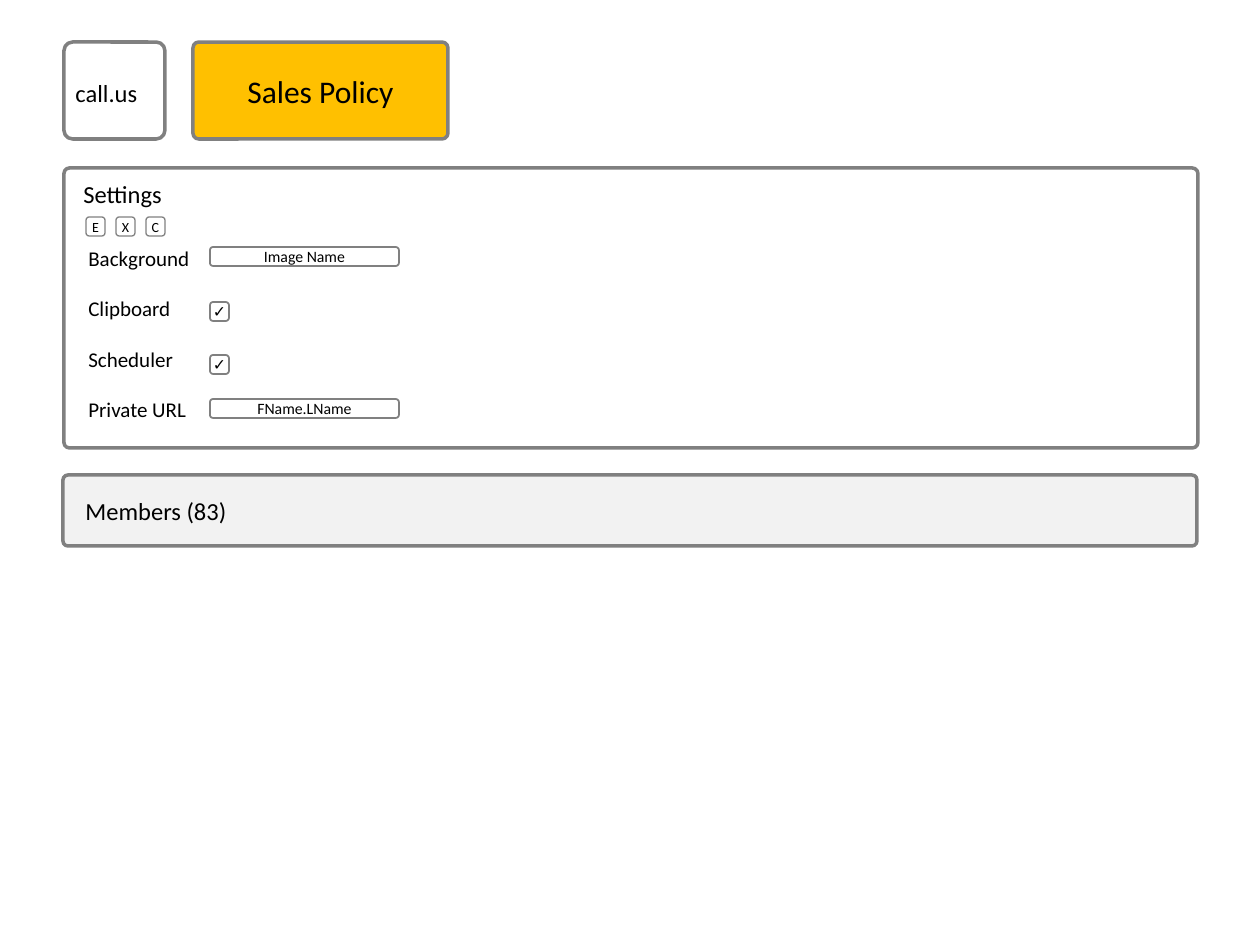
import pptx
import pptx.dml.color
import pptx.enum.shapes
import pptx.enum.text
import pptx.util

PX = 914400 / 126
COLORS = {"ink": "000000", "border": "808080", "policy": "FFC000", "members": "F2F2F2"}
FONT = "Calibri"
ALIGN = pptx.enum.text.PP_ALIGN
ANCHOR = pptx.enum.text.MSO_ANCHOR


def px(length):
    return pptx.util.Emu(round(length * PX))


def rgb(name):
    return pptx.dml.color.RGBColor.from_string(COLORS[name])


def write(frame, text, size=14, align=ALIGN.LEFT, gap=0):
    for index, line in enumerate(text.split("\n")):
        paragraph = frame.paragraphs[0] if index == 0 else frame.add_paragraph()
        paragraph.alignment = align
        if index and gap:
            paragraph.space_before = pptx.util.Pt(gap)
        run = paragraph.add_run()
        run.text = line
        run.font.name = FONT
        run.font.size = pptx.util.Pt(size)
        run.font.color.rgb = rgb("ink")


def add_label(shapes, box, text, **style):
    label = shapes.add_textbox(*map(px, box))
    label.text_frame.word_wrap = False
    label.text_frame.auto_size = pptx.enum.text.MSO_AUTO_SIZE.SHAPE_TO_FIT_TEXT
    write(label.text_frame, text, **style)


def add_box(shapes, box, text="", size=14, fill=None, line=2, corner=None):
    panel = shapes.add_shape(
        pptx.enum.shapes.MSO_SHAPE.ROUNDED_RECTANGLE, *map(px, box))
    panel.shadow.inherit = False
    if corner is not None:
        panel.adjustments[0] = corner
    if fill:
        panel.fill.solid()
        panel.fill.fore_color.rgb = rgb(fill)
    else:
        panel.fill.background()
    panel.line.color.rgb = rgb("border")
    panel.line.width = pptx.util.Pt(line)
    if text:
        frame = panel.text_frame
        frame.margin_left = frame.margin_right = 0
        frame.margin_top = frame.margin_bottom = 0
        frame.vertical_anchor = ANCHOR.MIDDLE
        write(frame, text, size=size, align=ALIGN.CENTER)


def add_header(shapes):
    add_label(shapes, (63, 72, 102, 43), "call.us")
    add_box(shapes, (64, 42, 101, 97), corner=0.09)
    add_box(shapes, (193, 42, 255, 97), "Sales Policy", size=18, fill="policy", corner=0.06)


def add_settings(shapes):
    side = 19
    control_left = 210
    add_label(shapes, (76, 239, 127, 190),
              "Background\nClipboard\nScheduler\nPrivate URL", size=12, gap=14.5)
    for top, value in ((247, "Image Name"), (399, "FName.LName")):
        add_box(shapes, (control_left, top, 189, side), value, size=9, line=1)
    for top in (302, 355):
        add_box(shapes, (control_left, top, side, side), "✓", size=9, line=1)
    buttons = shapes.add_group_shape()
    for index, letter in enumerate("EXC"):
        add_box(buttons.shapes, (86 + 30 * index, 217, side, side), letter, size=8, line=0.75)
    add_box(shapes, (64, 168, 1134, 280), corner=0.02)
    add_label(shapes, (71, 173, 106, 43), "Settings")


def add_members(shapes):
    add_box(shapes, (63, 475, 1134, 71), fill="members", corner=0.07)
    add_label(shapes, (73, 490, 168, 43), "Members (83)")


def main():
    deck = pptx.Presentation()
    deck.slide_width, deck.slide_height = px(1260), px(945)
    shapes = deck.slides.add_slide(deck.slide_layouts[6]).shapes
    add_members(shapes)
    add_header(shapes)
    add_settings(shapes)
    deck.save("out.pptx")


if __name__ == "__main__":
    main()
